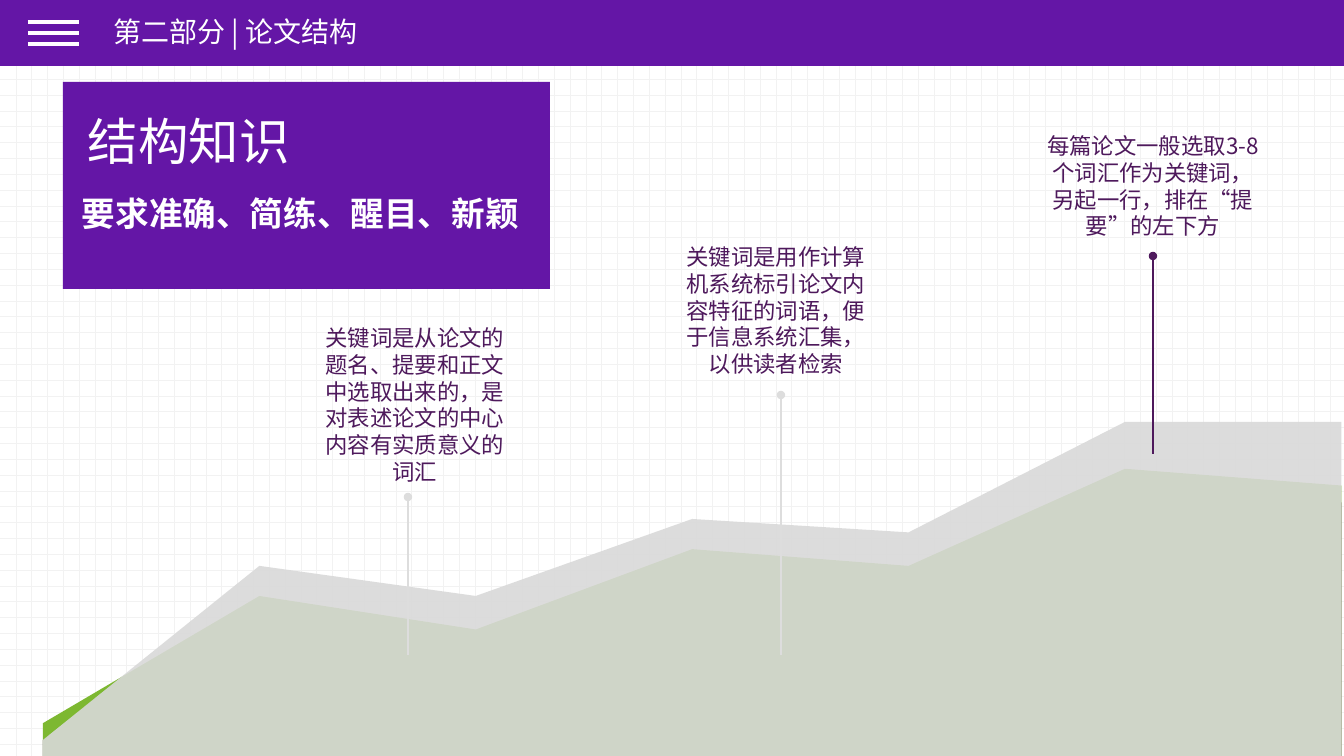
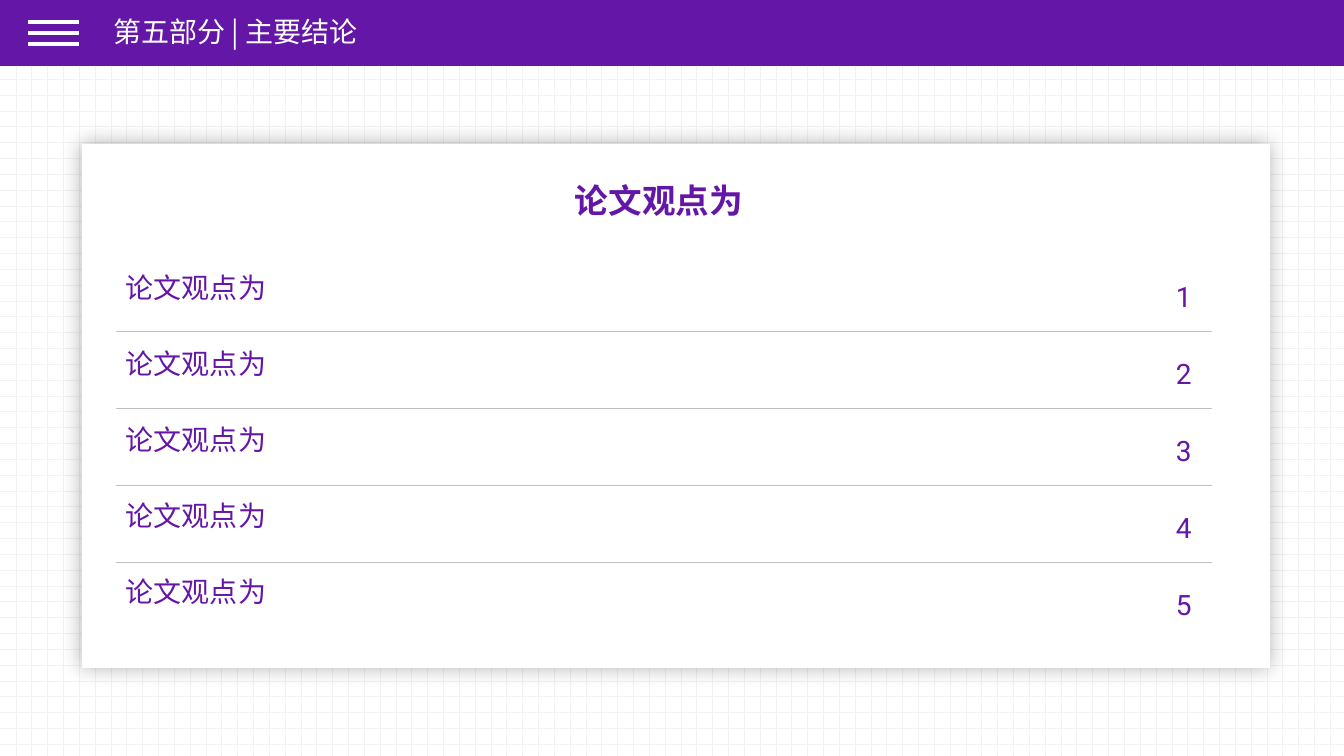
import pptx
import pptx.chart.data
import pptx.dml.color
import pptx.enum.chart
import pptx.enum.dml
import pptx.enum.lang
import pptx.enum.shapes
import pptx.enum.text
import pptx.oxml
import pptx.oxml.ns
import pptx.util
from lxml import etree

PX = 12192000 / 1344
CJK, LATIN = "Noto Sans CJK SC", "Roboto"
COLORS = {
    "purple": "6416A6", "plum": "4E195C", "green": "7DB831", "white": "FFFFFF",
    "silver": "D9D9D9", "pale": "DDDDDD", "rule": "BFBFBF", "grid": "F2F2F2",
}
ALIGN = pptx.enum.text.PP_ALIGN
qn = pptx.oxml.ns.qn


def px(*lengths):
    return [pptx.util.Emu(round(n * PX)) for n in lengths]


def rgb(name):
    return pptx.dml.color.RGBColor.from_string(COLORS[name])


def write(tf, text, size=20, color="white", font=CJK, bold=False, align=ALIGN.LEFT):
    p = tf.paragraphs[0]
    p.alignment = align
    r = p.add_run()
    r.text = text
    f = r.font
    f.name, f.size, f.bold = font, pptx.util.Pt(size), bold
    f.color.rgb = rgb(color)
    f.language_id = pptx.enum.lang.MSO_LANGUAGE_ID.SIMPLIFIED_CHINESE
    # East Asian characters take their own typeface
    f.fill  # the colour fill precedes the typefaces
    etree.SubElement(r._r.get_or_add_rPr(), qn("a:ea"), typeface=CJK)
    return p


def add_text(sl, box, text, wrap=True, **fmt):
    tf = sl.shapes.add_textbox(*px(*box)).text_frame
    tf.word_wrap = wrap
    tf.auto_size = pptx.enum.text.MSO_AUTO_SIZE.SHAPE_TO_FIT_TEXT
    write(tf, text, **fmt)


def add_rect(sl, box, color):
    sp = sl.shapes.add_shape(pptx.enum.shapes.MSO_SHAPE.RECTANGLE, *px(*box))
    sp.shadow.inherit = False
    sp.fill.solid()
    sp.fill.fore_color.rgb = rgb(color)
    sp.line.fill.background()
    return sp


def add_line(sl, x1, y1, x2, y2, color, width, oval=False):
    ln = sl.shapes.add_connector(
        pptx.enum.shapes.MSO_CONNECTOR.STRAIGHT, *px(x1, y1, x2, y2))
    ln.line.color.rgb = rgb(color)
    ln.line.width = pptx.util.Pt(width)
    spPr = ln.element.spPr
    if oval:
        etree.SubElement(spPr.find(qn("a:ln")), qn("a:headEnd"), type="oval")
    etree.SubElement(spPr, qn("a:effectLst"))
    return ln


def build_layout(layout, sl):
    """Put the grid, band, menu mark and title box on the layout."""
    fill = layout.background.fill
    fill.patterned()
    fill.pattern = pptx.enum.dml.MSO_PATTERN.DOTTED_GRID
    fill.fore_color.rgb, fill.back_color.rgb = rgb("grid"), rgb("white")
    parts = [add_rect(sl, (0, 0, 1344, 66), "purple")]
    parts += [add_line(sl, 28, y, 79, y, "white", 3) for y in (22, 33, 44)]
    for part in parts:
        layout.shapes.element.append(part.element)
    title = layout.placeholders[0]
    title.left, title.top, title.width, title.height = px(103, 8, 1138, 50)


def add_title(sl, text):
    tf = sl.shapes.title.text_frame
    tf.vertical_anchor = pptx.enum.text.MSO_ANCHOR.MIDDLE
    tf.auto_size = pptx.enum.text.MSO_AUTO_SIZE.NONE
    p = write(tf, text)
    p.line_spacing, p.space_before = 0.9, pptx.util.Pt(10)


def add_area_chart(sl, box):
    data = pptx.chart.data.CategoryChartData()
    data.categories = [str(n) for n in range(1, 8)]
    data.add_series("Series 1", (5, 57, 48, 71, 67, 100, 100))
    data.add_series("Series 2", (10, 48, 38, 62, 57, 86, 81))
    data.add_series("Series 3", (5, 38, 24, 57, 48, 71, 76))
    chart = sl.shapes.add_chart(
        pptx.enum.chart.XL_CHART_TYPE.AREA, *px(*box), data).chart
    chart.has_legend = chart.has_title = False
    chart.font.name, chart.font.size = CJK, pptx.util.Pt(10)
    chart.plots[0].vary_by_categories = False
    for series, color in zip(chart.plots[0].series, ("silver", "green", "plum")):
        series.format.fill.solid()
        series.format.fill.fore_color.rgb = rgb(color)
        series.format.line.fill.background()
    # The front series is slightly transparent
    clr = next(chart.plots[0].series[0].format.fill._xPr.iter(qn("a:srgbClr")))
    etree.SubElement(clr, qn("a:alpha"), val="90000")
    # Hidden axes, areas running edge to edge
    axis = chart.value_axis
    axis.minimum_scale, axis.maximum_scale = 0, 120
    axis.has_major_gridlines = False
    axis.visible = chart.category_axis.visible = False
    plot_area = chart.element.find(".//" + qn("c:plotArea"))
    for cross in plot_area.iter(qn("c:crossBetween")):
        cross.set("val", "midCat")
    # Fixed plot area
    layout = plot_area.find(qn("c:layout"))
    if layout is None:
        layout = etree.Element(qn("c:layout"))
        plot_area.insert(0, layout)
    manual = etree.SubElement(layout, qn("c:manualLayout"))
    for tag, val in (("layoutTarget", "inner"), ("xMode", "edge"), ("yMode", "edge"),
                     ("x", "0.041"), ("y", "0"), ("w", "0.919"), ("h", "0.907")):
        etree.SubElement(manual, qn("c:" + tag), val=val)


def add_callout(sl, box, text, pin, color):
    """Text with a pin below: pin is its x offset, gap and length."""
    x, y, w, h = box
    dx, gap, length = pin
    top = y + h + gap
    add_line(sl, x + dx, top, x + dx, top + length, color, 2, oval=True)
    add_text(sl, box, text, size=16, color="plum", align=ALIGN.CENTER)


def add_heading_panel(sl, box, heading, subheading):
    x, y, w, h = box
    add_rect(sl, box, "purple")
    add_text(sl, (x + 15, y + 23, w - 29, 72), heading, size=36)
    add_text(sl, (x + 9, y + 106, w - 9, 50), subheading, size=24, bold=True)


def add_card(sl, box, heading, items):
    x, y, w, h = box
    card = add_rect(sl, box, "white")
    shadow = etree.SubElement(
        card.element.spPr.find(qn("a:effectLst")), qn("a:outerShdw"),
        blurRad=str(pptx.util.Pt(15)), dist="0", dir="0", algn="ctr", rotWithShape="0")
    clr = etree.SubElement(shadow, qn("a:srgbClr"), val="000000")
    etree.SubElement(clr, qn("a:alpha"), val="30000")
    add_text(sl, (x + 391, y + 31, 372, 50), heading, size=24, color="purple",
             font=LATIN, bold=True, align=ALIGN.CENTER)
    for i, item in enumerate(items):
        if i:
            rule = y + 110 + 77 * i
            add_line(sl, x + 34, rule, x + w - 58, rule, "rule", 0.5)
        add_text(sl, (x + 34, y + 122 + 76 * i, 372, 44), item,
                 color="purple", font=LATIN)
        add_text(sl, (x + w - 104, y + 131 + 77 * i, 35, 44), str(i + 1), wrap=False,
                 color="purple", font=LATIN)


def build_structure(sl):
    add_title(sl, "第二部分 | 论文结构")
    add_area_chart(sl, (-15, 355, 1413, 443))
    add_callout(sl, (306, 319, 218, 173),
                "关键词是从论文的题名、提要和正文中选取出来的，是对表述论文的中心内容有实质意义的词汇",
                (102, 5, 158), "pale")
    add_callout(sl, (667, 238, 218, 146),
                "关键词是用作计算机系统标引论文内容特征的词语，便于信息系统汇集，以供读者检索",
                (114, 11, 260), "pale")
    add_callout(sl, (1037, 127, 232, 119),
                "每篇论文一般选取3-8个词汇作为关键词，另起一行，排在“提要”的左下方",
                (116, 10, 198), "plum")
    add_heading_panel(sl, (63, 82, 487, 207), "结构知识", "要求准确、简练、醒目、新颖")


def build_conclusions(sl):
    add_title(sl, "第五部分 | 主要结论")
    add_card(sl, (82, 144, 1188, 524), "论文观点为", ["论文观点为"] * 5)


def main():
    prs = pptx.Presentation()
    prs.slide_width, prs.slide_height = px(1344, 756)
    layout = prs.slide_layouts[5]
    slides = [prs.slides.add_slide(layout) for _ in range(2)]
    build_layout(layout, slides[0])
    build_structure(slides[0])
    build_conclusions(slides[1])
    prs.save("out.pptx")


if __name__ == "__main__":
    main()
